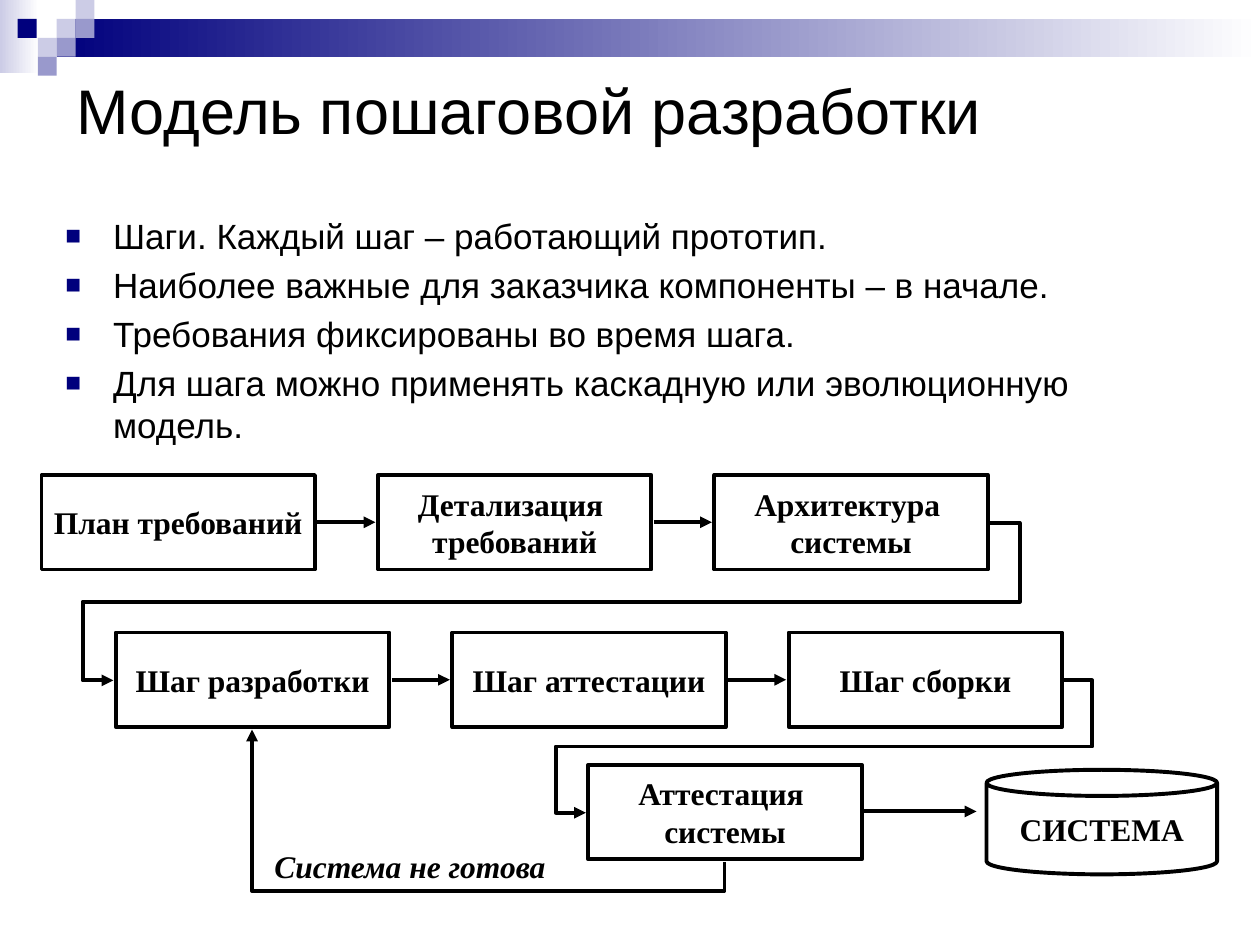
from dataclasses import dataclass

from lxml import etree
from pptx import Presentation
from pptx.dml.color import RGBColor
from pptx.enum.shapes import MSO_CONNECTOR, MSO_SHAPE
from pptx.enum.text import MSO_ANCHOR, PP_ALIGN
from pptx.oxml.ns import qn
from pptx.util import Inches, Pt

RECTANGLE, CAN = MSO_SHAPE.RECTANGLE, MSO_SHAPE.CAN
STRAIGHT, ELBOW = MSO_CONNECTOR.STRAIGHT, MSO_CONNECTOR.ELBOW
TOP, MIDDLE = MSO_ANCHOR.TOP, MSO_ANCHOR.MIDDLE
LEFT, CENTER = PP_ALIGN.LEFT, PP_ALIGN.CENTER


@dataclass(frozen=True)
class Theme:
    ink: str = "000000"
    white: str = "FFFFFF"
    navy: str = "00007D"
    lavender: str = "9999CC"
    pale: str = "CCCCE6"
    sans: str = "Arial"
    serif: str = "Times New Roman"
    title_size: int = 36
    body_size: int = 20
    box_size: int = 18
    line_width: float = 2.25


THEME = Theme()
TILE = 0.15
BOX_WIDTH, BOX_HEIGHT = 2.17, 0.75
BOX_PITCH = 2.67
ARROW_GAP = 0.02

TITLE = "Модель пошаговой разработки"
BULLETS = [
    "Шаги. Каждый шаг – работающий прототип.",
    "Наиболее важные для заказчика компоненты – в начале.",
    "Требования фиксированы во время шага.",
    "Для шага можно применять каскадную или эволюционную модель.",
]
# Left, top and the labels of each row of steps
STEP_ROWS = [
    (0.33, 3.77, ["План требований", "Детализация \nтребований", "Архитектура \nсистемы"]),
    (0.92, 5.02, ["Шаг разработки", "Шаг аттестации", "Шаг сборки"]),
    (4.67, 6.07, ["Аттестация \nсистемы"]),
]
# Left, top and colour of each square in the corner
TILES = [
    (0.45, 0.15, THEME.pale),
    (0.6, 0, THEME.pale),
    (0.6, 0.15, THEME.lavender),
    (0.3, 0.3, THEME.pale),
    (0.14, 0.15, THEME.navy),
    (0.45, 0.3, THEME.lavender),
    (0.3, 0.45, THEME.lavender),
]


def color(value):
    return RGBColor.from_string(value)


def write_text(shape, paragraphs, *, size, font=THEME.sans, bold=False, italic=False,
               align=LEFT, anchor=TOP, wrap=True, space_before=0):
    """Fill the shape with paragraphs; a newline inside one is a line break."""
    frame = shape.text_frame
    frame.word_wrap = wrap
    frame.vertical_anchor = anchor
    for index, text in enumerate(paragraphs):
        paragraph = frame.add_paragraph() if index else frame.paragraphs[0]
        paragraph.alignment = align
        paragraph.space_before = Pt(space_before)
        for line_index, line in enumerate(text.split("\n")):
            if line_index:
                paragraph.add_line_break()
            run = paragraph.add_run()
            run.text = line
            run.font.name = font
            run.font.size = Pt(size)
            run.font.bold = bold
            run.font.italic = italic
            run.font.color.rgb = color(THEME.ink)


def add_text(slide, left, top, width, height, paragraphs, **text_format):
    box = slide.shapes.add_textbox(Inches(left), Inches(top), Inches(width), Inches(height))
    write_text(box, paragraphs, **text_format)
    return box


def add_bullets(shape):
    for paragraph in shape.text_frame.paragraphs:
        properties = paragraph._p.get_or_add_pPr()
        properties.set("marL", str(Inches(0.38)))
        properties.set("indent", str(-Inches(0.38)))
        bullet_color = etree.SubElement(properties, qn("a:buClr"))
        etree.SubElement(bullet_color, qn("a:srgbClr"), val=THEME.navy)
        etree.SubElement(properties, qn("a:buSzPct"), val="75000")
        etree.SubElement(properties, qn("a:buFont"), typeface=THEME.sans)
        etree.SubElement(properties, qn("a:buChar"), char="■")


def add_plain_shape(slide, kind, left, top, width, height):
    shape = slide.shapes.add_shape(
        kind, Inches(left), Inches(top), Inches(width), Inches(height))
    shape.shadow.inherit = False
    return shape


def add_tile(slide, left, top, fill):
    tile = add_plain_shape(slide, RECTANGLE, left, top, TILE, TILE)
    tile.fill.solid()
    tile.fill.fore_color.rgb = color(fill)
    tile.line.fill.background()


def add_fading_band(slide, left, top, width, height, start):
    band = add_plain_shape(slide, RECTANGLE, left, top, width, height)
    band.line.fill.background()
    band.fill.gradient()
    band.fill.gradient_angle = 0
    for stop, value in zip(band.fill.gradient_stops, (start, THEME.white)):
        stop.color.rgb = color(value)


def add_node(slide, kind, left, top, width, height, label):
    node = add_plain_shape(slide, kind, left, top, width, height)
    node.fill.background()
    node.line.color.rgb = color(THEME.ink)
    node.line.width = Pt(THEME.line_width)
    write_text(node, [label], size=THEME.box_size, font=THEME.serif, bold=True,
               align=CENTER, anchor=MIDDLE, wrap=False)
    return node


def add_arrow(slide, start, end, bends=(), rotation=0):
    """Draw an arrow; bends are the adjustments of an elbow, as shares of its width."""
    arrow = slide.shapes.add_connector(
        ELBOW if bends else STRAIGHT, *(Inches(value) for value in (*start, *end)))
    arrow.line.color.rgb = color(THEME.ink)
    arrow.line.width = Pt(THEME.line_width)
    etree.SubElement(arrow.line._get_or_add_ln(), qn("a:tailEnd"), type="triangle")
    properties = arrow._element.spPr
    etree.SubElement(properties, qn("a:effectLst"))
    if rotation:
        properties.find(qn("a:xfrm")).set("rot", str(rotation * 60000))
    if bends:
        geometry = properties.find(qn("a:prstGeom"))
        geometry.set("prst", f"bentConnector{len(bends) + 2}")
        guides = geometry.find(qn("a:avLst"))
        for number, bend in enumerate(bends, 1):
            etree.SubElement(guides, qn("a:gd"), name=f"adj{number}",
                             fmla=f"val {round(bend * 100000)}")


def add_header(slide):
    add_fading_band(slide, 0, 0, 0.31, 0.58, THEME.pale)
    add_fading_band(slide, 0.45, 0.15, 9.55, 0.3, THEME.navy)
    for tile in TILES:
        add_tile(slide, *tile)


def add_step_row(slide, left, top, labels):
    middle = top + BOX_HEIGHT / 2
    for index, label in enumerate(labels):
        box_left = left + index * BOX_PITCH
        add_node(slide, RECTANGLE, box_left, top, BOX_WIDTH, BOX_HEIGHT, label)
        if index:
            previous_right = box_left - BOX_PITCH + BOX_WIDTH
            add_arrow(slide, (previous_right + ARROW_GAP, middle),
                      (box_left - ARROW_GAP, middle))


def add_row_link(slide, start, end, overhang=0.24):
    """Lead from the right end of one row round to the left end of the next."""
    share = overhang / (start[0] - end[0])
    add_arrow(slide, start, end, bends=(-share, 0.5, 1 + share))


def add_process(slide):
    for row in STEP_ROWS:
        add_step_row(slide, *row)
    add_row_link(slide, (7.85, 4.15), (0.9, 5.4))
    add_row_link(slide, (8.43, 5.4), (4.65, 6.45))
    # Feedback loop: laid out upright, then turned to run under the boxes
    add_arrow(slide, (3.35, 8.19), (4.4, 4.44), bends=(-0.22,), rotation=270)
    add_arrow(slide, (6.83, 6.44), (7.75, 6.44))
    system = add_node(slide, CAN, 7.83, 6.11, 1.83, 0.83, "СИСТЕМА")
    system.adjustments[0] = 0.25
    add_text(slide, 2.08, 6.67, 2.5, 0.4, ["Система не готова"], size=THEME.box_size,
             font=THEME.serif, bold=True, italic=True)


def main():
    presentation = Presentation()
    presentation.slide_width, presentation.slide_height = Inches(10), Inches(7.5)
    slide = presentation.slides.add_slide(presentation.slide_layouts[6])
    add_header(slide)
    add_text(slide, 0.51, 0.28, 9, 1.18, [TITLE], size=THEME.title_size, anchor=MIDDLE)
    body = add_text(slide, 0.42, 1.65, 9.17, 1.83, BULLETS, size=THEME.body_size,
                    space_before=4)
    add_bullets(body)
    add_process(slide)
    presentation.save("out.pptx")


if __name__ == "__main__":
    main()
